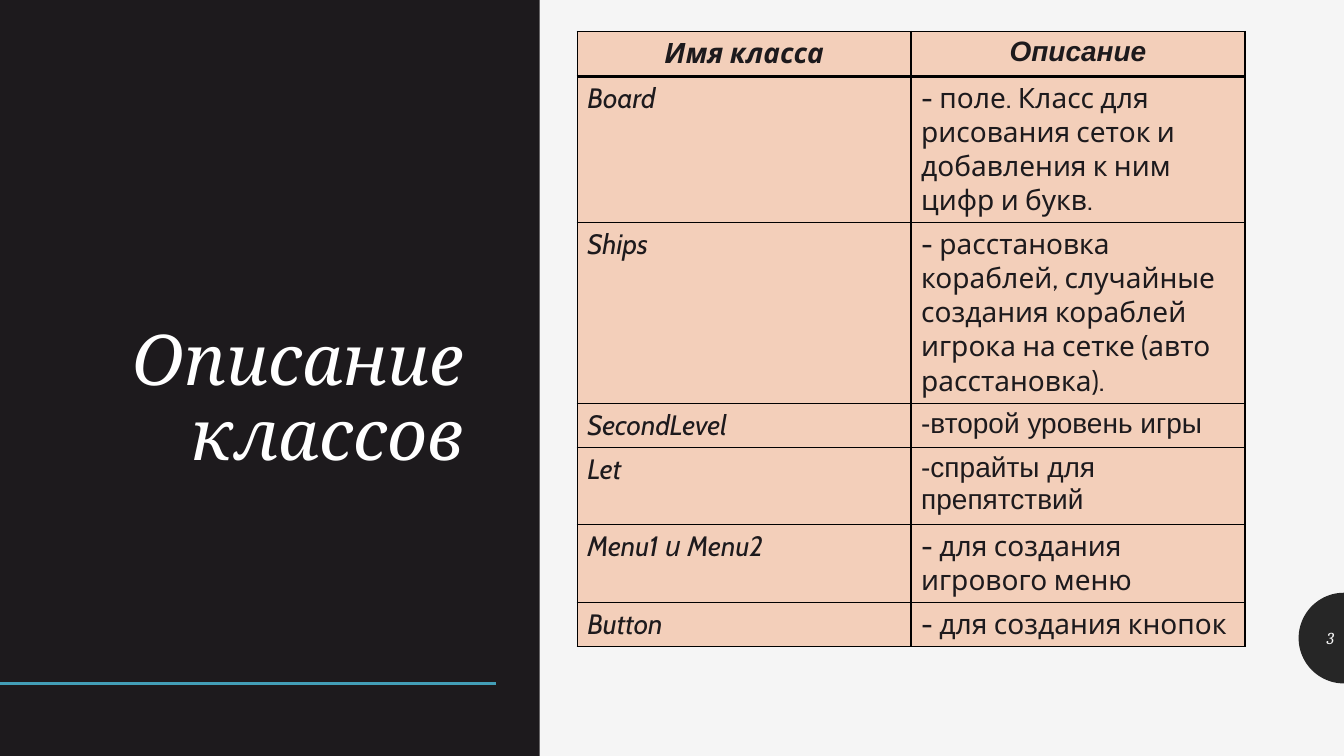
"""Build the slide that describes the classes of the game in a table."""
from math import cos, pi, sin

from lxml import etree
from pptx import Presentation
from pptx.dml.color import RGBColor
from pptx.enum.shapes import MSO_CONNECTOR, MSO_SHAPE
from pptx.enum.text import MSO_ANCHOR, PP_ALIGN
from pptx.oxml.ns import qn
from pptx.util import Pt

TITLE = "Описание классов"
PAGE_NUMBER = "3"
ROWS = [
    ("Имя класса", "Описание", "Arial", 32.1),
    ("Board", "- поле. Класс для рисования сеток и добавления к ним цифр и букв.", "Cabin", 104.3),
    ("Ships", "- расстановка кораблей, случайные создания кораблей игрока на сетке (авто расстановка).",
     "Cabin", 129.3),
    ("SecondLevel", "-второй уровень игры", "Arial", 31.4),
    ("Let", "-спрайты для препятствий", "Arial", 52.1),
    ("Menu1 и Menu2", "- для создания игрового меню", "Cabin", 55.7),
    ("Button", "- для создания кнопок", "Cabin", 31.4),
]

WIDTH, HEIGHT = 960, 540
TABLE_LEFT, TABLE_TOP, COLUMN_WIDTH = 412.3, 22.5, 238.5
BADGE_RADIUS, BADGE_MIDDLE, BADGE_STEPS = 32.4, 455.8, 48

PAPER = RGBColor(0xF5, 0xF5, 0xF5)
INK = RGBColor(0x1D, 0x1A, 0x1D)
BADGE = RGBColor(0x26, 0x26, 0x26)
ACCENT = RGBColor(0x43, 0x9E, 0xB7)
PEACH = RGBColor(0xF3, 0xCF, 0xBA)
WHITE = RGBColor(0xFF, 0xFF, 0xFF)
BLACK = RGBColor(0, 0, 0)

RECTANGLE = MSO_SHAPE.RECTANGLE
STRAIGHT = MSO_CONNECTOR.STRAIGHT
BOTTOM, MIDDLE = MSO_ANCHOR.BOTTOM, MSO_ANCHOR.MIDDLE
LEFT, CENTER, RIGHT = PP_ALIGN.LEFT, PP_ALIGN.CENTER, PP_ALIGN.RIGHT


def style_paragraph(paragraph, font_name, size, color, align, bold=False, italic=True):
    font = paragraph.font
    font.name, font.size, font.bold, font.italic = font_name, Pt(size), bold, italic
    font.color.rgb = color
    paragraph.alignment = align


def fill_plain(shape, color):
    shape.shadow.inherit = False
    shape.fill.solid()
    shape.fill.fore_color.rgb = color
    shape.line.fill.background()


def add_text(slide, text, box, size, color, anchor):
    frame = slide.shapes.add_textbox(*map(Pt, box)).text_frame
    frame.word_wrap = True
    frame.vertical_anchor = anchor
    paragraph = frame.paragraphs[0]
    paragraph.text = text
    style_paragraph(paragraph, "Cambria", size, color, RIGHT)
    return paragraph


def add_badge(slide):
    angles = [pi / 2 + pi * step / BADGE_STEPS for step in range(BADGE_STEPS + 1)]
    points = [(Pt(WIDTH + BADGE_RADIUS * cos(angle)), Pt(BADGE_MIDDLE + BADGE_RADIUS * sin(angle)))
              for angle in angles]
    builder = slide.shapes.build_freeform(*points[0], scale=1.0)
    builder.add_line_segments(points[1:], close=True)
    fill_plain(builder.convert_to_shape(), BADGE)


def set_borders(cell, widths):
    properties = cell._tc.get_or_add_tcPr()
    for side, width in widths.items():
        line = etree.SubElement(properties, qn(f"a:{side}"), w=str(Pt(width)))
        fill = etree.SubElement(line, qn("a:solidFill"))
        etree.SubElement(fill, qn("a:srgbClr"), val=str(BLACK))


def add_class_table(slide):
    total = sum(row[-1] for row in ROWS)
    table = slide.shapes.add_table(len(ROWS), 2, Pt(TABLE_LEFT), Pt(TABLE_TOP),
                                   Pt(2 * COLUMN_WIDTH), Pt(total)).table
    for column in table.columns:
        column.width = Pt(COLUMN_WIDTH)
    for index, (name, description, description_font, height) in enumerate(ROWS):
        table.rows[index].height = Pt(height)
        header = index == 0
        borders = {"lnL": 1, "lnR": 1, "lnT": 2 if index == 1 else 1, "lnB": 2 if header else 1}
        texts = [(name, "Cabin", True), (description, description_font, header)]
        for cell, (text, font_name, italic) in zip(table.rows[index].cells, texts):
            set_borders(cell, borders)
            cell.fill.solid()
            cell.fill.fore_color.rgb = PEACH
            cell.text = text
            style_paragraph(cell.text_frame.paragraphs[0], font_name, 20, INK,
                            CENTER if header else LEFT, header, italic)


def main():
    presentation = Presentation()
    presentation.slide_width, presentation.slide_height = Pt(WIDTH), Pt(HEIGHT)
    slide = presentation.slides.add_slide(presentation.slide_layouts[6])
    slide.background.fill.solid()
    slide.background.fill.fore_color.rgb = PAPER

    add_badge(slide)
    panel = slide.shapes.add_shape(RECTANGLE, 0, 0, Pt(385.5), Pt(HEIGHT))
    fill_plain(panel, INK)
    rule = slide.shapes.add_connector(STRAIGHT, 0, Pt(488.2), Pt(354.2), Pt(488.2))
    rule.line.color.rgb = ACCENT
    rule.line.width = Pt(2)
    etree.SubElement(rule._element.spPr, qn("a:effectLst"))

    title = add_text(slide, TITLE, (36.7, 168.5, 301.7, 175), 50, WHITE, BOTTOM)
    title.line_spacing = 0.9
    add_text(slide, PAGE_NUMBER, (928, 441.4, 32, 28.8), 12, PAPER, MIDDLE)
    add_class_table(slide)
    presentation.save("out.pptx")


if __name__ == "__main__":
    main()
